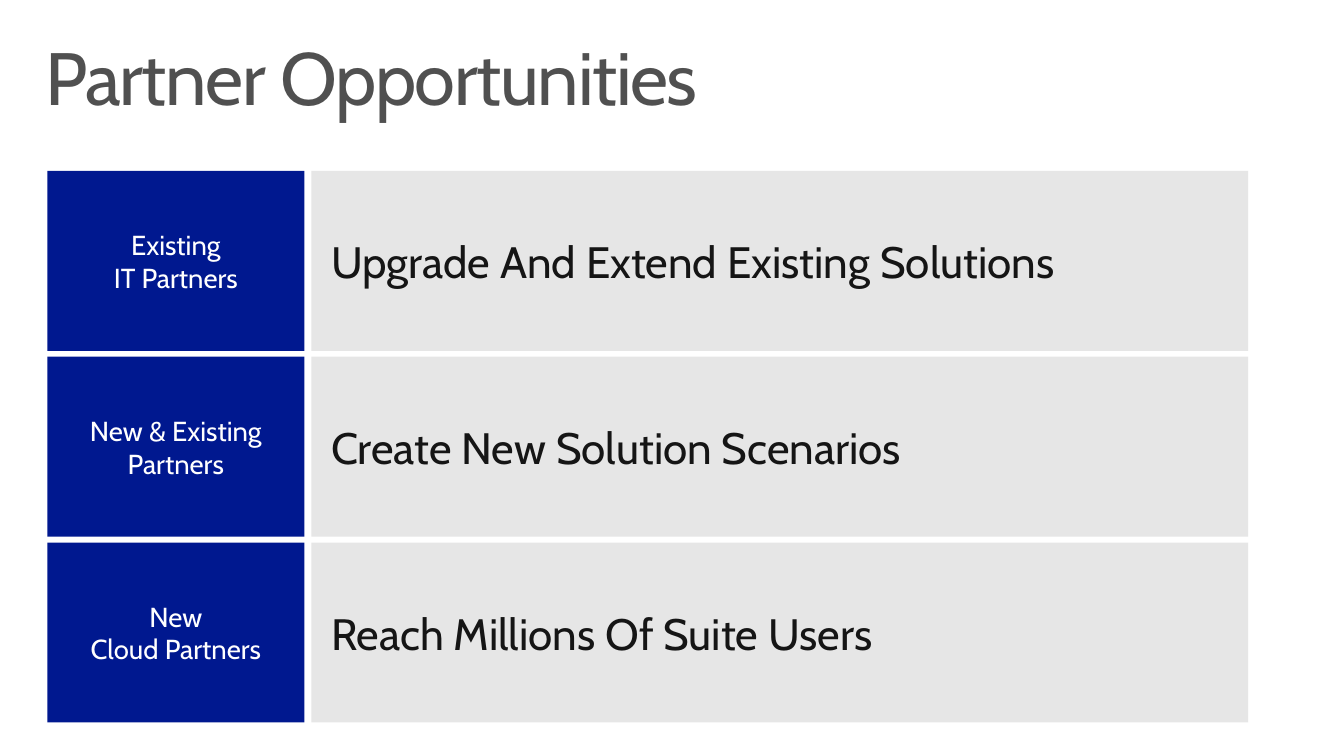
from pptx import Presentation
from pptx.dml.color import RGBColor
from pptx.enum.shapes import MSO_SHAPE
from pptx.enum.text import MSO_ANCHOR, PP_ALIGN
from pptx.util import Inches, Pt


def rgb(value):
    return RGBColor.from_string(value)


def write(sp, lines, size, color, align, anchor, margins):
    """Fill a shape with one paragraph per line and return its text frame."""
    tf = sp.text_frame
    tf.word_wrap = True
    tf.vertical_anchor = anchor
    tf.margin_left = tf.margin_right = Inches(margins[0])
    tf.margin_top = tf.margin_bottom = Inches(margins[1])
    tf.text = "\n".join(lines)
    for p in tf.paragraphs:
        p.alignment = align
        for r in p.runs:
            r.font.name = "Cabin"
            r.font.size = Pt(size)
            r.font.color.rgb = rgb(color)
    return tf


prs = Presentation()
prs.slide_width, prs.slide_height = Inches(13.6), Inches(7.65)
s = prs.slides.add_slide(prs.slide_layouts[6])

title = s.shapes.add_textbox(Inches(0.3), Inches(0.32), Inches(13), Inches(1))
tf = write(title, ["Partner Opportunities"], 54, "505050",
           PP_ALIGN.LEFT, MSO_ANCHOR.TOP, (0.16, 0.1))
p = tf.paragraphs[0]
p.line_spacing = 0.9
p.runs[0].font._element.set("spc", "-100")

opportunities = [
    (["Existing", "IT Partners"], "Upgrade And Extend Existing Solutions"),
    (["New & Existing", "Partners"], "Create New Solution Scenarios"),
    (["New", "Cloud Partners"], "Reach Millions Of Suite Users"),
]
TOP, PITCH, HEIGHT = 1.73, 1.88, 1.82

for row, (partners, opportunity) in enumerate(opportunities):
    cells = [
        (0.48, 2.6, "00188F", partners, 20, "FFFFFF", PP_ALIGN.CENTER),
        (3.15, 9.48, "E6E6E6", [opportunity], 32, "151515", PP_ALIGN.LEFT),
    ]
    for left, width, fill, lines, size, color, align in cells:
        sp = s.shapes.add_shape(MSO_SHAPE.RECTANGLE, Inches(left),
                                Inches(TOP + row * PITCH), Inches(width), Inches(HEIGHT))
        sp.shadow.inherit = False
        sp.fill.solid()
        sp.fill.fore_color.rgb = rgb(fill)
        sp.line.fill.background()
        write(sp, lines, size, color, align, MSO_ANCHOR.MIDDLE, (0.2, 0.16))

prs.save("out.pptx")
